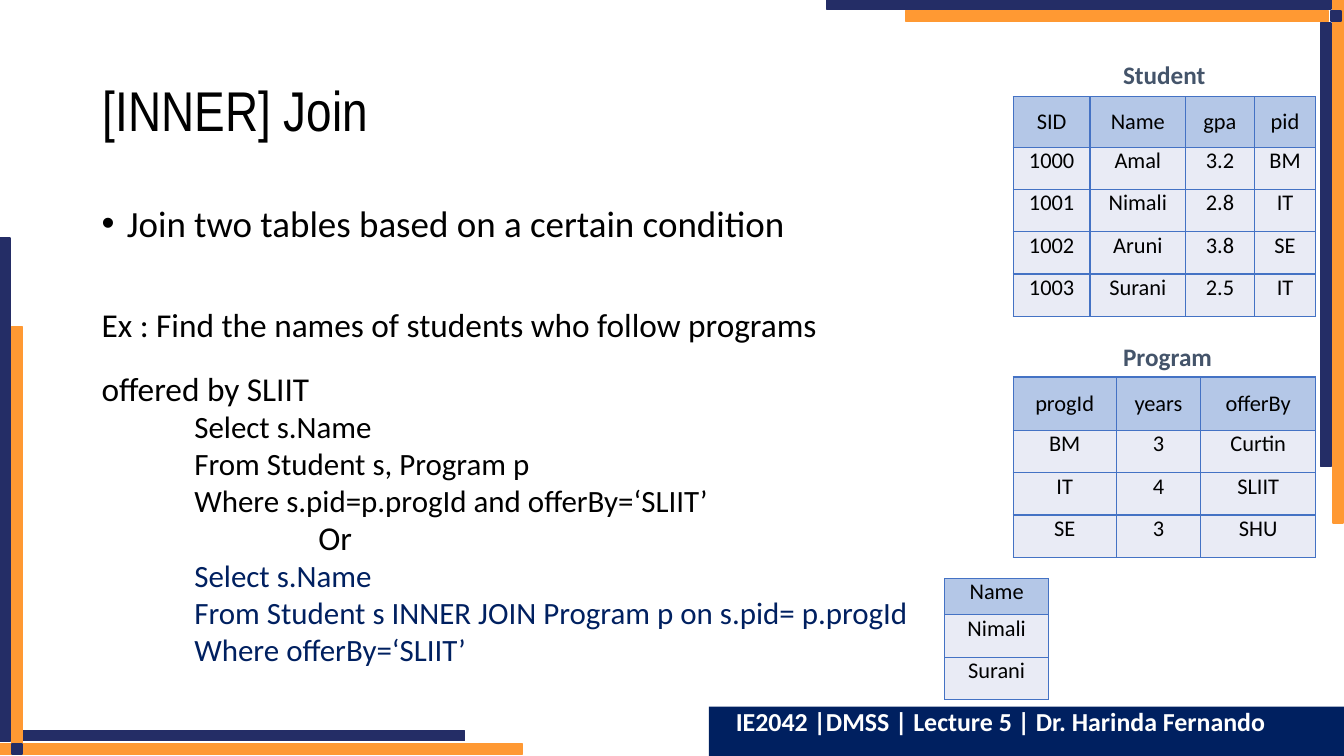
from lxml.etree import SubElement
from pptx import Presentation
from pptx.dml.color import RGBColor
from pptx.enum.shapes import MSO_SHAPE
from pptx.enum.text import MSO_ANCHOR, MSO_AUTO_SIZE, PP_ALIGN
from pptx.oxml.ns import qn
from pptx.util import Inches, Pt

NAVY, ORANGE, BLACK, INK = "242D66", "FF9933", "000000", "002060"
HEAD_FILL, BODY_FILL, BORDER, CAPTION = "B4C7E7", "E9EBF5", "4472C4", "44546A"

BARS = [
    (13.22, 0, 0.1, 5.19, ORANGE),
    (13.1, 0.23, 0.1, 4.4, NAVY),
    (8.2, 0, 5, 0.09, NAVY),
    (8.98, 0.11, 4.2, 0.1, ORANGE),
    (13.2, 0.11, 0.1, 0.1, NAVY),
    (0, 7.38, 5.18, 0.1, ORANGE),
    (0.21, 7.25, 4.4, 0.1, NAVY),
    (0, 2.36, 0.1, 5, NAVY),
    (0.12, 3.24, 0.1, 4.2, ORANGE),
    (0.12, 7.38, 0.1, 0.1, NAVY),
]

TITLE = "[INNER] Join"
BULLET = {"margin": 0.33, "indent": -0.25, "spacing": 1.6, "before": 0, "size": 26.4, "color": BLACK}
EXAMPLE = {"margin": 0.08, "indent": 0, "spacing": 1.6, "before": 25, "size": 23.8, "color": BLACK}
QUERY = {"margin": 1, "indent": 0, "spacing": 0.8, "before": 5, "size": 22.1, "color": BLACK}
OR_LINE = {**QUERY, "margin": 2.23, "size": 23.8}
JOIN_QUERY = {**QUERY, "color": INK}
BODY = [
    ("Join two tables based on a certain condition", BULLET),
    ("Ex : Find the names of students who follow programs offered by SLIIT", EXAMPLE),
    ("Select s.Name", QUERY),
    ("From Student s, Program p", QUERY),
    ("Where s.pid=p.progId and offerBy=‘SLIIT’", QUERY),
    ("Or", OR_LINE),
    ("Select s.Name", JOIN_QUERY),
    ("From Student s INNER JOIN Program p on s.pid= p.progId", JOIN_QUERY),
    ("Where offerBy=‘SLIIT’", JOIN_QUERY),
]

TABLES = [
    {"left": 10.05, "top": 0.96, "widths": [0.76, 0.95, 0.68, 0.61], "head": 0.5, "anchor": MSO_ANCHOR.MIDDLE,
     "rows": [("SID", "Name", "gpa", "pid"),
              ("1000", "Amal", "3.2", "BM"),
              ("1001", "Nimali", "2.8", "IT"),
              ("1002", "Aruni", "3.8", "SE"),
              ("1003", "Surani", "2.5", "IT")]},
    {"left": 10.05, "top": 3.74, "widths": [1.02, 0.84, 1.14], "head": 0.53, "anchor": MSO_ANCHOR.MIDDLE,
     "rows": [("progId", "years", "offerBy"),
              ("BM", "3", "Curtin"),
              ("IT", "4", "SLIIT"),
              ("SE", "3", "SHU")]},
    {"left": 9.37, "top": 5.74, "widths": [1.03], "head": 0.36, "anchor": MSO_ANCHOR.TOP,
     "rows": [("Name",), ("Nimali",), ("Surani",)]},
]
ROW_HEIGHT = 0.42
CAPTIONS = [("Student", 0.54), ("Program", 3.34)]
FOOTER = "IE2042 |DMSS | Lecture 5 | Dr. Harinda Fernando"


def rgb(value):
    return RGBColor.from_string(value)


def write(para, text, size, color, name="Calibri", bold=False):
    span = para.add_run()
    span.text = text
    for key, value in {"size": Pt(size), "name": name, "bold": bold}.items():
        setattr(span.font, key, value)
    span.font.color.rgb = rgb(color)


def set_indent(para, margin, indent, bullet=None):
    properties = para._p.get_or_add_pPr()
    properties.set("marL", str(Inches(margin)))
    properties.set("indent", str(Inches(indent)))
    if bullet:
        SubElement(properties, qn("a:buFont"), typeface="Arial")
        SubElement(properties, qn("a:buChar"), char=bullet)


def add_block(page, left, top, width, height, fill):
    block = page.shapes.add_shape(MSO_SHAPE.RECTANGLE, *map(Inches, (left, top, width, height)))
    block.shadow.inherit = False
    block.fill.solid()
    block.fill.fore_color.rgb = rgb(fill)
    return block


def add_bar(page, left, top, width, height, color):
    bar = add_block(page, left, top, width, height, color)
    bar.line.color.rgb = rgb(color)
    bar.line.width = Pt(1)


def add_title(page):
    title = page.shapes.title
    for key, value in {"left": 0.92, "top": 0.4, "width": 11.5, "height": 1.45}.items():
        setattr(title, key, Inches(value))
    frame = title.text_frame
    frame.auto_size = MSO_AUTO_SIZE.NONE
    frame.vertical_anchor = MSO_ANCHOR.MIDDLE
    para = frame.paragraphs[0]
    para.alignment = PP_ALIGN.LEFT
    para.line_spacing = 0.9
    write(para, TITLE, 40, BLACK, "Arial Narrow")


def add_body(page):
    frame = page.shapes.add_textbox(*map(Inches, (0.83, 1.68, 8.4, 5.17))).text_frame
    frame.word_wrap = True
    for index, (text, style) in enumerate(BODY):
        para = frame.add_paragraph() if index else frame.paragraphs[0]
        para.line_spacing = style["spacing"]
        para.space_before = Pt(style["before"])
        set_indent(para, style["margin"], style["indent"], "•" if style is BULLET else None)
        write(para, text, style["size"], style["color"])


def add_borders(cell):
    properties = cell._tc.get_or_add_tcPr()
    for position, side in enumerate(("lnL", "lnR", "lnT", "lnB")):
        line = properties.makeelement(qn("a:" + side), {"w": str(Pt(1))})
        fill = SubElement(line, qn("a:solidFill"))
        SubElement(fill, qn("a:srgbClr"), val=BORDER)
        properties.insert(position, line)


def add_data_table(page, left, top, widths, head, anchor, rows):
    heights = [head] + [ROW_HEIGHT] * (len(rows) - 1)
    area = map(Inches, (left, top, sum(widths), sum(heights)))
    table = page.shapes.add_table(len(rows), len(widths), *area).table
    table.horz_banding = False
    for column, width in zip(table.columns, widths):
        column.width = Inches(width)
    for row_index, (row, height, values) in enumerate(zip(table.rows, heights, rows)):
        row.height = Inches(height)
        for cell, value in zip(row.cells, values):
            cell.margin_top = cell.margin_bottom = 0
            cell.vertical_anchor = MSO_ANCHOR.TOP if row_index else anchor
            cell.fill.solid()
            cell.fill.fore_color.rgb = rgb(BODY_FILL if row_index else HEAD_FILL)
            add_borders(cell)
            para = cell.text_frame.paragraphs[0]
            para.alignment = PP_ALIGN.CENTER
            write(para, value, 16, BLACK)


def add_caption(page, text, top):
    frame = page.shapes.add_textbox(*map(Inches, (11.04, top, 1.09, 0.4))).text_frame
    frame.word_wrap = False
    write(frame.paragraphs[0], text, 18, CAPTION, bold=True)


def add_footer(page):
    footer = add_block(page, 7.03, 7.01, 6.3, 0.49, INK)
    footer.line.fill.background()
    frame = footer.text_frame
    frame.vertical_anchor = MSO_ANCHOR.TOP
    para = frame.paragraphs[0]
    para.alignment = PP_ALIGN.LEFT
    para.line_spacing = 0.8
    set_indent(para, 0.17, 0)
    write(para, FOOTER, 18.5, "FFFFFF", bold=True)


def main():
    deck = Presentation()
    deck.slide_width, deck.slide_height = Inches(13.33), Inches(7.5)
    page = deck.slides.add_slide(deck.slide_layouts[5])
    for bar in BARS:
        add_bar(page, *bar)
    add_title(page)
    add_body(page)
    for table in TABLES:
        add_data_table(page, **table)
    for caption in CAPTIONS:
        add_caption(page, *caption)
    add_footer(page)
    deck.save("out.pptx")


if __name__ == "__main__":
    main()
